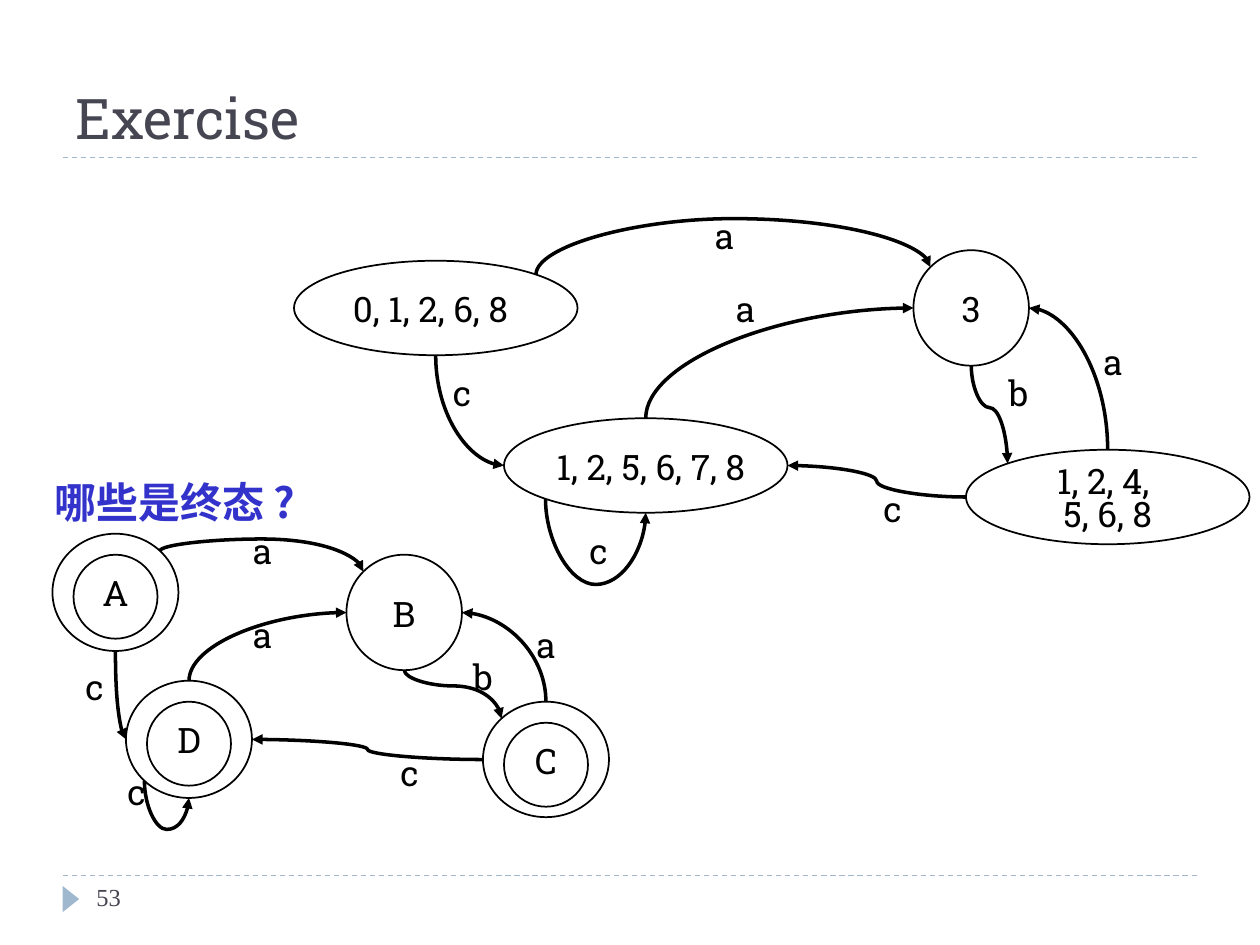
import dataclasses
import math
import typing

import lxml.etree
import pptx
import pptx.dml.color
import pptx.enum.dml
import pptx.enum.shapes
import pptx.enum.text
import pptx.oxml.ns
import pptx.util

Pt = pptx.util.Pt
qn = pptx.oxml.ns.qn
Shape = pptx.enum.shapes.MSO_SHAPE
Link = pptx.enum.shapes.MSO_CONNECTOR
Align = pptx.enum.text.PP_ALIGN
Anchor = pptx.enum.text.MSO_ANCHOR


@dataclasses.dataclass(frozen=True)
class Theme:
    ink: str = "000000"
    heading: str = "464653"
    question: str = "3333CC"
    accent: str = "9FB8CD"
    serif: str = "Roboto Slab"
    chinese: str = "Noto Sans CJK SC"
    number: str = "Times New Roman"
    title_size: int = 32
    question_size: int = 24
    label_size: int = 20
    number_size: int = 14


@dataclasses.dataclass(frozen=True)
class State:
    name: str
    left: float
    top: float
    width: float
    height: float
    final: bool = False

    def site(self, index: int) -> tuple[float, float]:
        angle = math.radians(90 + 45 * index)
        return (self.left + self.width / 2 * (1 + math.cos(angle)),
                self.top + self.height / 2 * (1 - math.sin(angle)))


@dataclasses.dataclass(frozen=True)
class Transition:
    source: str
    source_site: int
    target: str
    target_site: int
    reach: typing.Optional[float] = None


@dataclasses.dataclass(frozen=True)
class Label:
    text: str
    left: float
    top: float
    width: float = 36
    height: float = 32
    line_spacing: float = 1.0


THEME = Theme()
STATES = [
    State("loop", 288, 239, 162, 54),
    State("after_b", 552, 257, 162, 54),
    State("start", 168, 149, 162, 54),
    State("after_a", 522, 143, 66, 66),
    State("D", 72, 389, 72, 67, True),
    State("C", 276, 401, 72, 66, True),
    State("A", 30, 305, 72, 67, True),
    State("B", 198, 317, 66, 66),
]
TRANSITIONS = [
    Transition("start", 7, "after_a", 1, 125),
    Transition("after_b", 2, "loop", 6, 501),
    Transition("after_b", 0, "after_a", 6),
    Transition("after_a", 4, "after_b", 1, 233),
    Transition("loop", 0, "after_a", 2),
    Transition("start", 4, "loop", 2),
    Transition("loop", 3, "loop", 4, 334),
    Transition("A", 7, "B", 1, 308),
    Transition("C", 2, "D", 6, 210),
    Transition("C", 0, "B", 6),
    Transition("B", 4, "C", 1, 392),
    Transition("D", 0, "B", 2),
    Transition("A", 4, "D", 2),
    Transition("D", 3, "D", 4, 474),
]
LABELS = [
    Label("1, 2, 5, 6, 7, 8", 294, 251, 156),
    Label("1, 2, 4, \n5, 6, 8", 558, 263.5, 150, 47, 0.8),
    Label("0, 1, 2, 6, 8", 180, 161, 132),
    Label("3", 534, 161, 42),
    Label("D", 90, 407), Label("C", 288, 419, 48),
    Label("A", 42, 323, 48), Label("B", 210, 335, 42),
    Label("c", 324, 299), Label("b", 564, 209), Label("a", 618, 191),
    Label("a", 408, 161), Label("a", 396, 119), Label("c", 246, 209),
    Label("c", 492, 275), Label("c", 60, 437), Label("b", 258, 371),
    Label("a", 294, 353), Label("a", 132, 347), Label("a", 132, 299),
    Label("c", 36, 377), Label("c", 216, 426),
]


def assign(target: typing.Any, values: dict[str, typing.Any]) -> None:
    for name, value in values.items():
        setattr(target, name, value)


def paint(target: typing.Any, color: str) -> None:
    target.rgb = pptx.dml.color.RGBColor.from_string(color)


def write(box: typing.Any, text: str, size: int, font: str, color: str,
          bold: bool = False, **formats: typing.Any) -> None:
    frame = box.text_frame
    frame.word_wrap = True
    frame.text = text
    for para in frame.paragraphs:
        assign(para, formats)
        for span in para.runs:
            assign(span.font, {"size": Pt(size), "name": font, "bold": bold})
            paint(span.font.color, color)
            east = lxml.etree.SubElement(span.font._element, qn("a:ea"))
            east.set("typeface", font)


def add_text(page: typing.Any, place: tuple[float, ...], *style: typing.Any, **formats: typing.Any) -> None:
    write(page.shapes.add_textbox(*map(Pt, place)), *style, **formats)


def add_ellipse(page: typing.Any, *place: float) -> typing.Any:
    ellipse = page.shapes.add_shape(Shape.OVAL, *map(Pt, place))
    ellipse.shadow.inherit = False
    ellipse.fill.background()
    ellipse.line.width = Pt(1)
    paint(ellipse.line.color, THEME.ink)
    return ellipse


def add_line(page: typing.Any, kind: typing.Any, start: tuple[float, float],
             end: tuple[float, float], color: str, width: float) -> typing.Any:
    line = page.shapes.add_connector(kind, *map(Pt, start + end))
    line.line.width = Pt(width)
    paint(line.line.color, color)
    lxml.etree.SubElement(line._element.spPr, qn("a:effectLst"))
    return line


def add_transition(page: typing.Any, move: Transition, states: dict[str, State],
                   ellipses: dict[str, typing.Any]) -> None:
    start = states[move.source].site(move.source_site)
    end = states[move.target].site(move.target_site)
    across, down = end[0] - start[0], end[1] - start[1]
    sideways = move.source_site in (2, 6)
    line = add_line(page, Link.CURVE, start, end, THEME.ink, 2)
    width, height = (abs(across), abs(down)) if sideways else (abs(down), abs(across))
    assign(line, {
        "left": Pt((start[0] + end[0] - width) / 2),
        "top": Pt((start[1] + end[1] - height) / 2),
        "width": Pt(width),
        "height": Pt(height),
    })
    properties = line._element.spPr
    frame = properties.find(qn("a:xfrm"))
    for flip in ("flipH", "flipV"):
        frame.attrib.pop(flip, None)
    turn = 180 if sideways else 270 if across > 0 else 90
    frame.set("rot", str(turn * 60000))
    if not sideways and (across > 0) == (down > 0):
        frame.set("flipH", "1")
    geometry = properties.find(qn("a:prstGeom"))
    if move.reach is None:
        geometry.set("prst", "curvedConnector2")
    else:
        axis = 0 if sideways else 1
        ratio = (move.reach - start[axis]) / (end[axis] - start[axis])
        guide = lxml.etree.SubElement(geometry.find(qn("a:avLst")), qn("a:gd"))
        guide.set("name", "adj1")
        guide.set("fmla", f"val {round(ratio * 100000)}")
    lxml.etree.SubElement(properties.find(qn("a:ln")), qn("a:tailEnd")).set("type", "triangle")
    joints = line._element.nvCxnSpPr.cNvCxnSpPr
    for tag, name, site in (("a:stCxn", move.source, move.source_site),
                            ("a:endCxn", move.target, move.target_site)):
        joint = lxml.etree.SubElement(joints, qn(tag))
        joint.set("id", str(ellipses[name].shape_id))
        joint.set("idx", str(site))


def main() -> None:
    deck = pptx.Presentation()
    assign(deck, {"slide_width": Pt(720), "slide_height": Pt(540)})
    page = deck.slides.add_slide(deck.slide_layouts[5])
    for height in (500.5, 90):
        rule = add_line(page, Link.STRAIGHT, (36, height), (684, height), THEME.accent, 0.75)
        rule.line.dash_style = pptx.enum.dml.MSO_LINE.DASH
    marker = page.shapes.add_shape(Shape.ISOSCELES_TRIANGLE, *map(Pt, (33, 509, 15, 9.5)))
    marker.rotation = 90
    marker.shadow.inherit = False
    marker.fill.solid()
    paint(marker.fill.fore_color, THEME.accent)
    marker.line.fill.background()

    title = page.shapes.title
    assign(title, dict(zip(("left", "top", "width", "height"), map(Pt, (36, 12, 648, 78)))))
    write(title, "Exercise", THEME.title_size, THEME.serif, THEME.heading, alignment=Align.LEFT)
    title.text_frame.vertical_anchor = Anchor.BOTTOM
    add_text(page, (48, 500.5, 156, 29), "53", THEME.number_size, THEME.number, THEME.heading)
    add_text(page, (24, 269, 162, 36), "哪些是终态 ?", THEME.question_size,
             THEME.chinese, THEME.question, True)

    states = {state.name: state for state in STATES}
    ellipses = {}
    for state in STATES:
        ellipses[state.name] = add_ellipse(page, state.left, state.top, state.width, state.height)
        if state.final:
            add_ellipse(page, state.left + 12, state.top + 12, 48, 48)
    for move in TRANSITIONS:
        add_transition(page, move, states, ellipses)
    for label in LABELS:
        add_text(page, (label.left, label.top, label.width, label.height), label.text,
                 THEME.label_size, THEME.serif, THEME.ink,
                 alignment=Align.CENTER, line_spacing=label.line_spacing)
    deck.save("out.pptx")


main()
